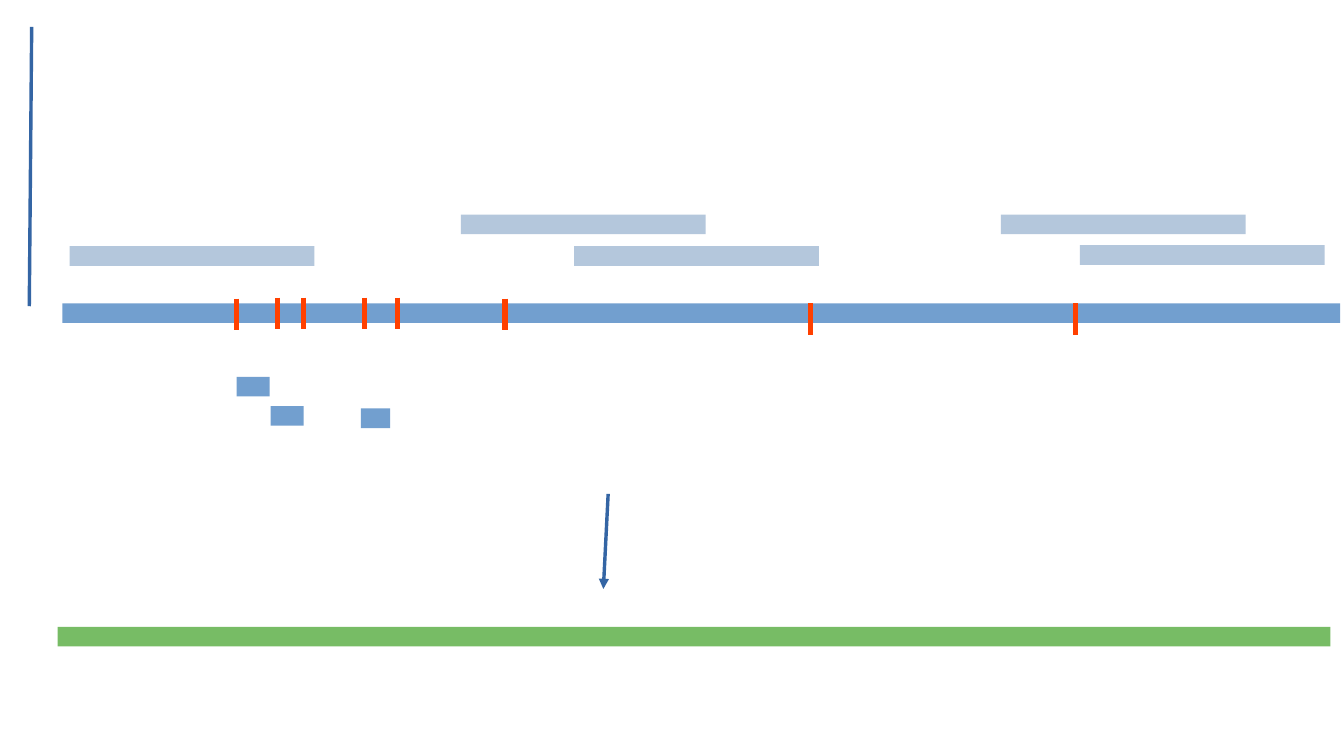
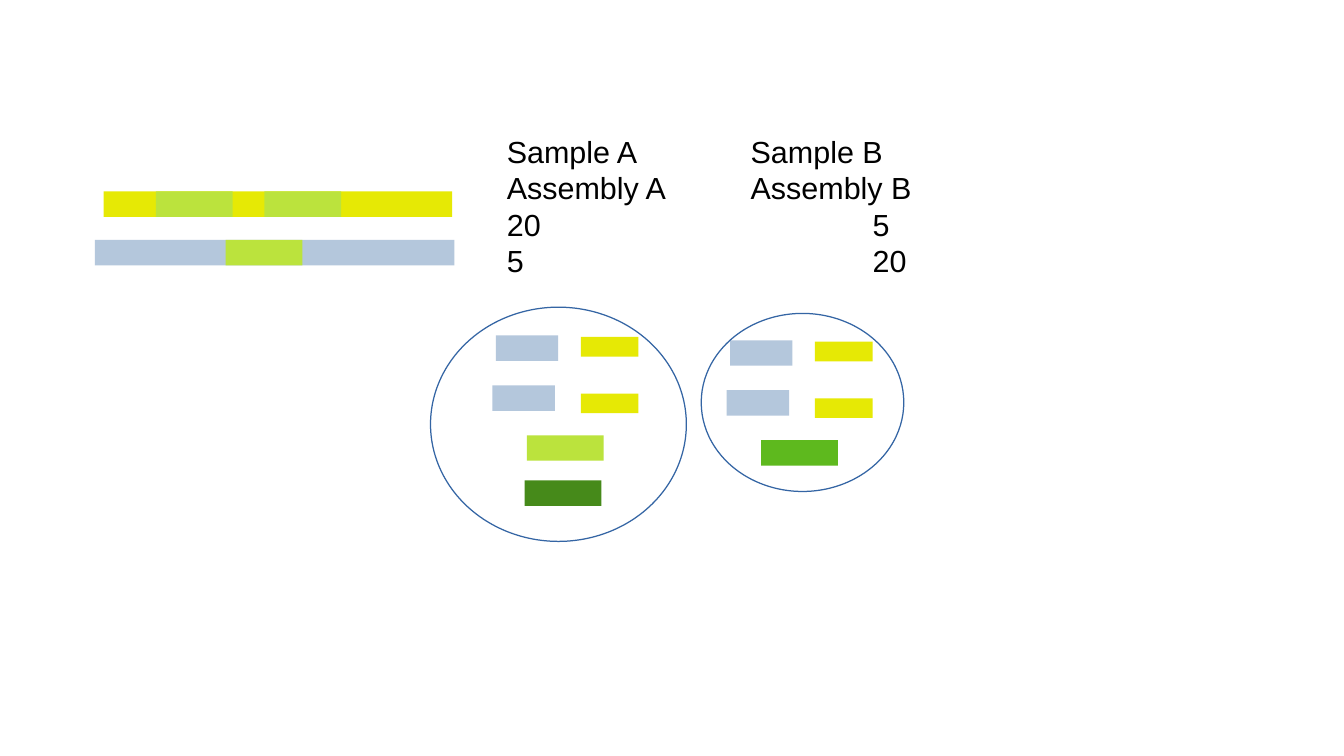
from typing import NamedTuple

from lxml import etree
from pptx import Presentation
from pptx.dml.color import RGBColor
from pptx.enum.shapes import MSO_CONNECTOR, MSO_SHAPE
from pptx.enum.text import MSO_AUTO_SIZE
from pptx.oxml.ns import qn
from pptx.shapes.autoshape import Shape
from pptx.shapes.connector import Connector
from pptx.slide import Slide
from pptx.util import Cm, Pt

RECTANGLE = MSO_SHAPE.RECTANGLE
OVAL = MSO_SHAPE.OVAL
STRAIGHT = MSO_CONNECTOR.STRAIGHT
FIT_SHAPE_TO_TEXT = MSO_AUTO_SIZE.SHAPE_TO_FIT_TEXT

PALE_BLUE = RGBColor(0xB4, 0xC7, 0xDC)
BLUE = RGBColor(0x72, 0x9F, 0xCF)
LINE_BLUE = RGBColor(0x34, 0x65, 0xA4)
RED = RGBColor(0xFF, 0x40, 0x00)
SOFT_GREEN = RGBColor(0x77, 0xBC, 0x65)
YELLOW = RGBColor(0xE6, 0xE9, 0x05)
LIME = RGBColor(0xBB, 0xE3, 0x3D)
GREEN = RGBColor(0x5E, 0xB9, 0x1E)
DARK_GREEN = RGBColor(0x46, 0x8A, 0x1A)
BLACK = RGBColor(0x00, 0x00, 0x00)

FONT_NAME = "Arial"
THIN_BAR = 0.41
THICK_BAR = 0.53
READ_WIDTH = 5.1
TICK_HEIGHT = 0.66
REPEAT_WIDTH = 1.6


class Bar(NamedTuple):
    """A filled rectangle, in centimetres."""
    left: float
    top: float
    width: float
    height: float
    color: RGBColor


class Row(NamedTuple):
    """A text line in two columns; the second starts at the tab stop."""
    first: str
    second: str
    tab_stop: float


class Sample(NamedTuple):
    """A circle and the top-left corner of the blocks inside it."""
    circle: tuple[float, float, float, float]
    blocks_left: float
    blocks_top: float
    repeat_colors: tuple[RGBColor, ...]


READS = ((1.45, 5.13), (11.96, 5.13), (22.5, 5.11), (9.6, 4.47), (20.85, 4.47))
FRAGMENTS = ((4.93, 7.85, 0.69), (5.64, 8.46, 0.69), (7.52, 8.51, 0.61))
TICKS = ((4.93, 6.22), (5.79, 6.2), (6.32, 6.2), (7.59, 6.2), (8.28, 6.2),
         (10.52, 6.22), (16.89, 6.32), (22.4, 6.32))

GENOMES = (
    Bar(1.98, 5.0, 7.49, THICK_BAR, PALE_BLUE),
    Bar(2.16, 3.99, 7.26, THICK_BAR, YELLOW),
    Bar(4.7, 5.0, REPEAT_WIDTH, THICK_BAR, LIME),
    Bar(3.25, 3.99, REPEAT_WIDTH, THICK_BAR, LIME),
    Bar(5.51, 3.99, REPEAT_WIDTH, THICK_BAR, LIME),
)
COUNTS = (
    Row("Sample A", "Sample B", 5.08),
    Row("Assembly A", "Assembly B", 5.08),
    Row("20", "5", 7.62),
    Row("5", "20", 7.62),
)
SAMPLES = (
    Sample((8.97, 6.4, 5.33, 4.88), 10.33, 6.99, (LIME, DARK_GREEN)),
    Sample((14.61, 6.53, 4.22, 3.71), 15.21, 7.09, (GREEN,)),
)
SAMPLE_BLOCKS = (
    Bar(0, 0, 1.3, THICK_BAR, PALE_BLUE),
    Bar(-0.07, 1.04, 1.3, THICK_BAR, PALE_BLUE),
    Bar(1.77, 0.03, 1.2, THIN_BAR, YELLOW),
    Bar(1.77, 1.21, 1.2, THIN_BAR, YELLOW),
)
REPEAT_OFFSETS = ((0.65, 2.08), (0.6, 3.02))


def add_bar(slide: Slide, bar: Bar) -> Shape:
    shape = slide.shapes.add_shape(
        RECTANGLE, Cm(bar.left), Cm(bar.top), Cm(bar.width), Cm(bar.height))
    shape.shadow.inherit = False
    shape.fill.solid()
    shape.fill.fore_color.rgb = bar.color
    shape.line.fill.background()
    return shape


def add_circle(slide: Slide, box: tuple[float, float, float, float]) -> Shape:
    shape = slide.shapes.add_shape(OVAL, *map(Cm, box))
    shape.shadow.inherit = False
    shape.fill.background()
    shape.line.color.rgb = LINE_BLUE
    shape.line.width = Pt(0)
    return shape


def add_line(slide: Slide, start: tuple[float, float], end: tuple[float, float],
             *, color: RGBColor = LINE_BLUE, width: float = 0,
             arrow: bool = False) -> Connector:
    connector = slide.shapes.add_connector(
        STRAIGHT, *map(Cm, (*start, *end)))
    connector.line.color.rgb = color
    connector.line.width = Pt(width)
    properties = connector._element.spPr
    if arrow:
        etree.SubElement(properties.find(qn("a:ln")), qn("a:tailEnd"), type="triangle")
    etree.SubElement(properties, qn("a:effectLst"))
    return connector


def add_text(slide: Slide, rows: tuple[Row, ...], *, left: float, top: float,
             width: float, height: float, size: float = 18,
             color: RGBColor = BLACK) -> Shape:
    shape = slide.shapes.add_textbox(Cm(left), Cm(top), Cm(width), Cm(height))
    frame = shape.text_frame
    frame.word_wrap = True
    frame.auto_size = FIT_SHAPE_TO_TEXT
    for index, row in enumerate(rows):
        paragraph = frame.add_paragraph() if index else frame.paragraphs[0]
        tabs = etree.SubElement(paragraph._p.get_or_add_pPr(), qn("a:tabLst"))
        etree.SubElement(tabs, qn("a:tab"), pos=str(Cm(row.tab_stop)), algn="l")
        run = paragraph.add_run()
        run.text = f"{row.first}\t{row.second}"
        run.font.name = FONT_NAME
        run.font.size = Pt(size)
        run.font.color.rgb = color
    return shape


def add_sample(slide: Slide, sample: Sample) -> None:
    repeats = tuple(
        Bar(left, top, REPEAT_WIDTH, THICK_BAR, color)
        for (left, top), color in zip(REPEAT_OFFSETS, sample.repeat_colors))
    for block in SAMPLE_BLOCKS + repeats:
        add_bar(slide, block._replace(left=sample.blocks_left + block.left,
                                      top=sample.blocks_top + block.top))
    add_circle(slide, sample.circle)


def build_read_mapping(slide: Slide) -> None:
    for left, top in READS:
        add_bar(slide, Bar(left, top, READ_WIDTH, THIN_BAR, PALE_BLUE))
    for left, top, width in FRAGMENTS:
        add_bar(slide, Bar(left, top, width, THIN_BAR, BLUE))
    add_line(slide, (0.66, 0.56), (0.61, 6.38))
    add_line(slide, (12.67, 10.29), (12.57, 12.27), arrow=True)
    add_bar(slide, Bar(1.2, 13.06, 26.52, THIN_BAR, SOFT_GREEN))
    add_bar(slide, Bar(1.3, 6.32, 26.62, THIN_BAR, BLUE))
    for left, top in TICKS:
        add_line(slide, (left, top), (left, top + TICK_HEIGHT), color=RED, width=3)


def build_sample_comparison(slide: Slide) -> None:
    for bar in GENOMES:
        add_bar(slide, bar)
    add_text(slide, COUNTS, left=10.31, top=2.64, width=9.32, height=3.1)
    for sample in SAMPLES:
        add_sample(slide, sample)


def main() -> None:
    presentation = Presentation()
    presentation.slide_width = Cm(28)
    presentation.slide_height = Cm(15.75)
    blank_layout = presentation.slide_layouts[6]
    for build in (build_read_mapping, build_sample_comparison):
        build(presentation.slides.add_slide(blank_layout))
    presentation.save("out.pptx")


if __name__ == "__main__":
    main()
